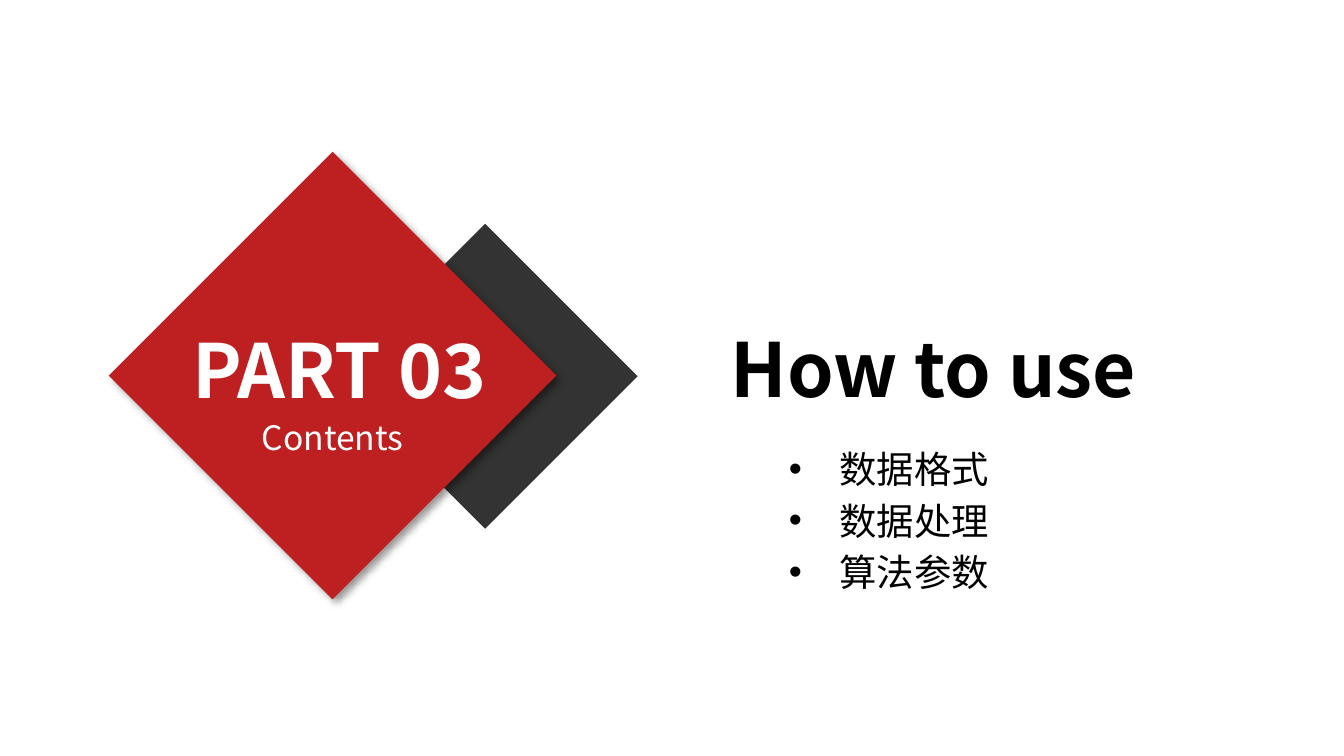
from lxml import etree
from pptx import Presentation
from pptx import util as u
from pptx.dml.color import RGBColor
from pptx.enum import shapes, text
from pptx.oxml import ns

SCALE = 4572
FONT = "Noto Sans CJK SC"
COLORS = {"red": "BE2021", "charcoal": "333333", "white": "FFFFFF", "black": "000000"}


def px(*lengths):
    return [u.Emu(length * SCALE) for length in lengths]


def add_text(parent, box, lines, frame_format, paragraph_format, font_format, color):
    frame = parent.add_textbox(*px(*box)).text_frame
    for name, value in frame_format.items():
        setattr(frame, name, value)
    for index, line in enumerate(lines):
        paragraph = frame.paragraphs[0] if index == 0 else frame.add_paragraph()
        for name, value in paragraph_format.items():
            setattr(paragraph, name, value)
        run = paragraph.add_run()
        run.text = line
        for name, value in font_format.items():
            setattr(run.font, name, value)
        run.font.color.rgb = RGBColor.from_string(COLORS[color])
        etree.SubElement(run.font._element, ns.qn("a:ea"), typeface=FONT)
    return frame


presentation = Presentation()
presentation.slide_width, presentation.slide_height = px(2000, 1125)
slide = presentation.slides.add_slide(presentation.slide_layouts[6])
badge = slide.shapes.add_group_shape()

for box, color in [((495, 333, 454, 454), "charcoal"), ((162, 226, 666, 666), "red")]:
    diamond = badge.shapes.add_shape(shapes.MSO_SHAPE.DIAMOND, *px(*box))
    diamond.shadow.inherit = False
    diamond.fill.solid()
    diamond.fill.fore_color.rgb = RGBColor.from_string(COLORS[color])
    diamond.line.fill.background()

effects = diamond._element.spPr.find(ns.qn("a:effectLst"))
shadow = etree.SubElement(
    effects, ns.qn("a:outerShdw"), blurRad=str(u.Pt(4)), dist=str(u.Pt(3)),
    dir="2700000", algn="tl", rotWithShape="0",
)
shadow_color = etree.SubElement(shadow, ns.qn("a:srgbClr"), val=COLORS["black"])
etree.SubElement(shadow_color, ns.qn("a:alpha"), val="40000")

sides = ("left", "top", "right", "bottom")
flush = {f"margin_{side}": 0 for side in sides}
snug = {f"margin_{side}": px(inset)[0] for side, inset in zip(sides, (14, 8, 14, 8))}
wrap = {"word_wrap": True}
grow = {**wrap, **snug, "auto_size": text.MSO_AUTO_SIZE.SHAPE_TO_FIT_TEXT}
heading = {"alignment": text.PP_ALIGN.CENTER, "line_spacing": u.Pt(48)}
heading_font = {"name": FONT, "size": u.Pt(40), "bold": True}

add_text(
    badge.shapes, (309, 575, 372, 106), ["Contents"],
    {**wrap, **flush, "vertical_anchor": text.MSO_ANCHOR.BOTTOM},
    {**heading, "line_spacing": u.Pt(21.8)}, {"name": FONT, "size": u.Pt(18)}, "white",
)
add_text(badge.shapes, (261, 472, 488, 190), ["PART 03"], wrap, heading, heading_font, "white")
add_text(slide.shapes, (938, 472, 902, 150), ["How to use"], grow, heading, heading_font, "black")
topics = add_text(
    slide.shapes, (1160, 646, 532, 246), ["数据格式", "数据处理", "算法参数"], grow,
    {"alignment": text.PP_ALIGN.JUSTIFY, "line_spacing": u.Pt(27.6)},
    {"name": FONT, "size": u.Pt(20)}, "black",
)
indent = px(75)[0]
for paragraph in topics.paragraphs:
    properties = paragraph._p.get_or_add_pPr()
    properties.set("marL", str(indent))
    properties.set("indent", str(-indent))
    etree.SubElement(properties, ns.qn("a:buFont"), typeface="Arial")
    etree.SubElement(properties, ns.qn("a:buChar"), char="•")

presentation.save("out.pptx")
